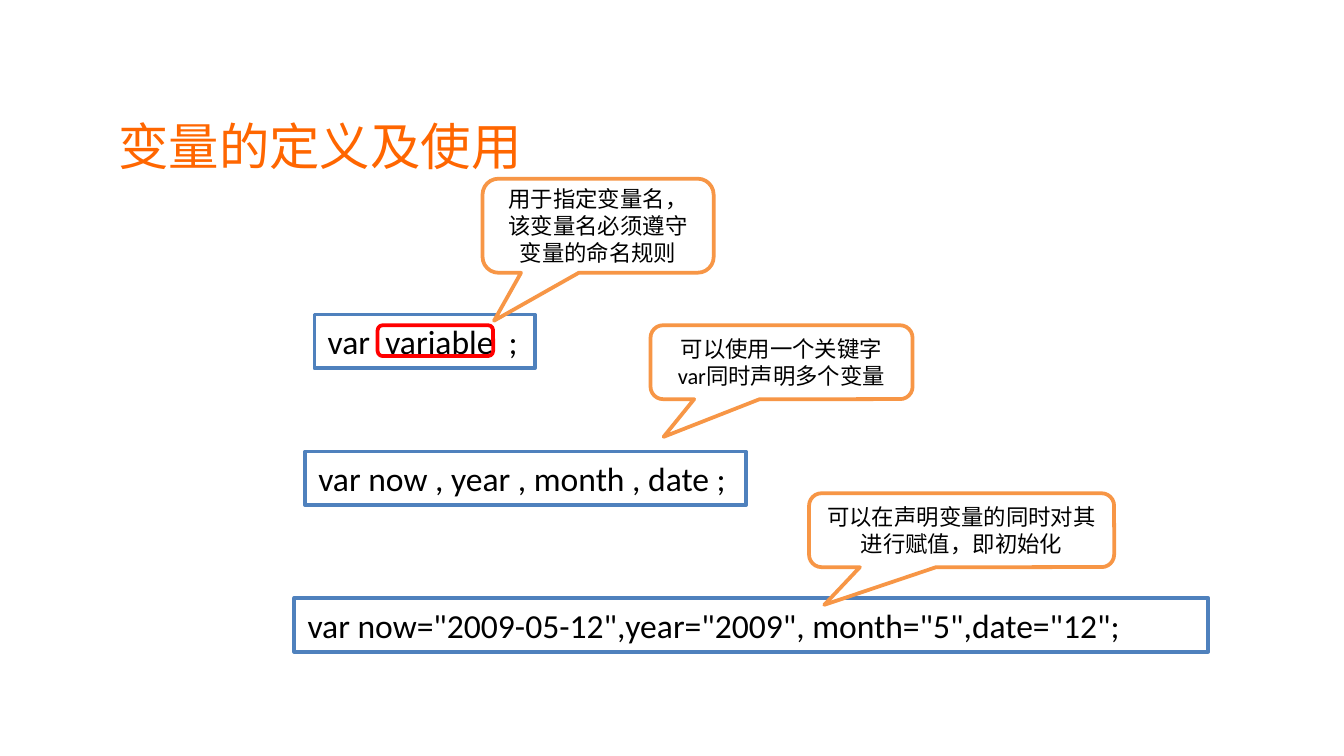
from pptx import Presentation
from pptx.dml.color import RGBColor as Rgb
from pptx.enum.shapes import MSO_SHAPE as Kind
from pptx.enum.text import MSO_ANCHOR as Anchor, MSO_AUTO_SIZE as Fit, PP_ALIGN as Align
from pptx.util import Inches, Pt


def paint(color, value):
    color.rgb = Rgb.from_string(value)


def write(frame, text, size, font, value, align):
    par = frame.paragraphs[0]
    par.alignment = align
    run = par.add_run()
    run.text = text
    run.font.size = Pt(size)
    run.font.name = font
    paint(run.font.color, value)


def shape(slide, kind, box, edge, fill=None):
    item = slide.shapes.add_shape(kind, *map(Inches, box))
    item.shadow.inherit = False
    if fill:
        item.fill.solid()
        paint(item.fill.fore_color, fill)
    else:
        item.fill.background()
    paint(item.line.color, edge)
    item.line.width = Pt(2)
    return item


def title(slide, text):
    box = slide.shapes.add_textbox(Inches(0.81), Inches(0.7), Inches(5.75), Inches(0.77))
    frame = box.text_frame
    frame.word_wrap = True
    frame.vertical_anchor = Anchor.MIDDLE
    frame.margin_left = frame.margin_right = Inches(0.07)
    frame.margin_top = frame.margin_bottom = Inches(0.04)
    write(frame, text, 27, "Arial", "FF6600", Align.LEFT)


def code(slide, left, top, width, text, wrap=False):
    item = shape(slide, Kind.RECTANGLE, (left, top, width, 0.4), "4F81BD", "FFFFFF")
    frame = item.text_frame
    frame.word_wrap = wrap
    frame.auto_size = Fit.SHAPE_TO_FIT_TEXT
    frame.vertical_anchor = Anchor.TOP
    write(frame, text, 18, "Calibri", "000000", Align.LEFT)


def callout(slide, box, text):
    item = shape(slide, Kind.ROUNDED_RECTANGULAR_CALLOUT, box, "F79646", "FFFFFF")
    for i, value in enumerate((-0.45, 1.01, 0.17)):
        item.adjustments[i] = value
    frame = item.text_frame
    frame.word_wrap = True
    frame.vertical_anchor = Anchor.MIDDLE
    write(frame, text, 12, "Calibri", "000000", Align.CENTER)


def main():
    deck = Presentation()
    deck.slide_width = Inches(10)
    deck.slide_height = deck.slide_width * 9 // 16
    slide = deck.slides.add_slide(deck.slide_layouts[6])
    title(slide, "变量的定义及使用")
    code(slide, 2.34, 2.34, 1.64, "var  variable  ;")
    code(slide, 2.27, 3.36, 3.28, "var now , year , month , date ;")
    shape(slide, Kind.ROUNDED_RECTANGLE, (2.81, 2.42, 0.86, 0.23), "FF0000")
    callout(slide, (3.59, 1.33, 1.72, 0.7), "用于指定变量名，该变量名必须遵守变量的命名规则")
    callout(slide, (4.84, 2.42, 1.95, 0.55), "可以使用一个关键字var同时声明多个变量")
    code(slide, 2.19, 4.45, 6.8, 'var now="2009-05-12",year="2009", month="5",date="12";', True)
    callout(slide, (6.02, 3.67, 2.27, 0.55), "可以在声明变量的同时对其进行赋值，即初始化")
    deck.save("out.pptx")


if __name__ == "__main__":
    main()
